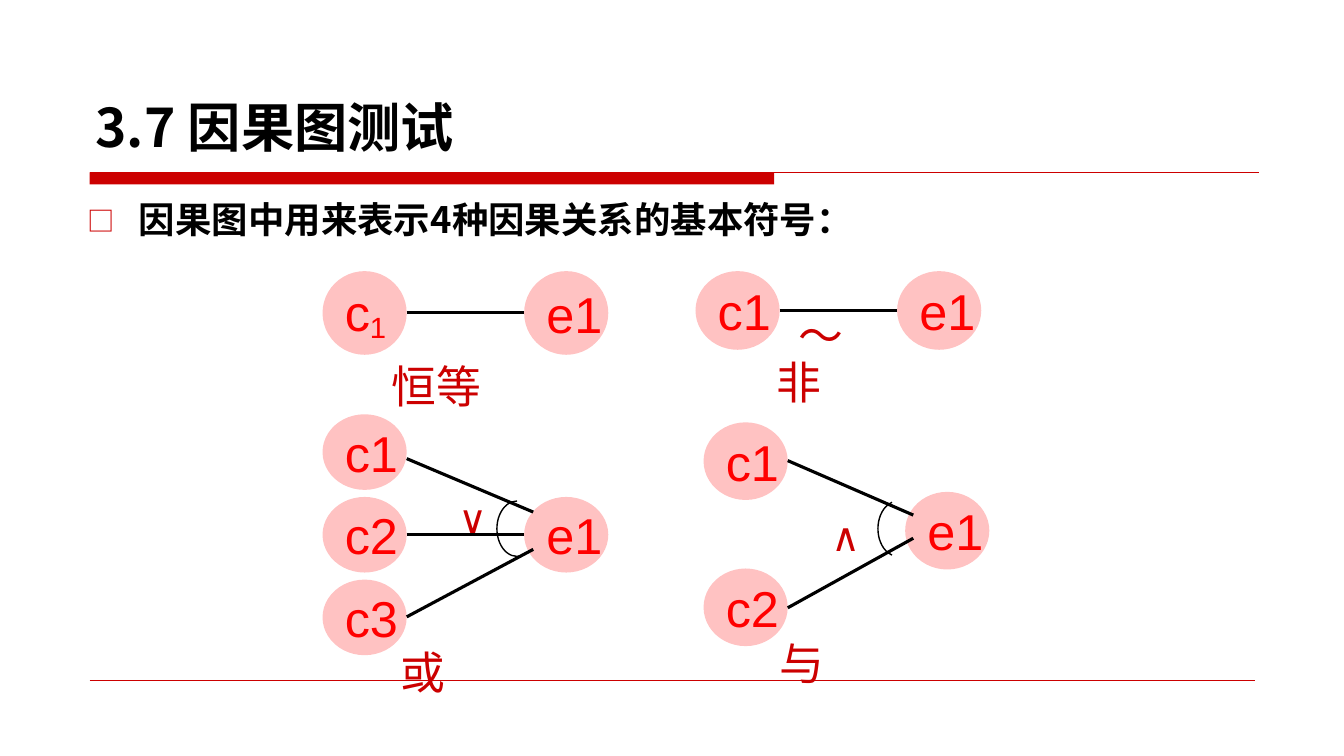
from lxml.etree import SubElement
from pptx import Presentation
from pptx.dml.color import RGBColor
from pptx.enum.shapes import MSO_CONNECTOR, MSO_SHAPE
from pptx.enum.text import MSO_ANCHOR, MSO_AUTO_SIZE, PP_ALIGN
from pptx.oxml.ns import qn
from pptx.util import Inches, Pt

COLUMNS, ROWS = 133.33, 75
NODE_WIDTH, EFFECT_OFFSET = 8.35, 20
CJK, LATIN, SYMBOL = "Noto Sans CJK SC", "Arial", "Open Sans"
BLACK, RED, DEEP_RED, PINK = "000000", "FF0000", "CC0000", "FFC2C2"


def color(hex_code):
    """Turn a hex string into a colour."""
    return RGBColor.from_string(hex_code)


class CauseEffectSlide:
    """Draws on one slide, with lengths in grid columns and rows."""

    def __init__(self, deck):
        self.column = deck.slide_width / COLUMNS
        self.row = deck.slide_height / ROWS
        self.shapes = deck.slides.add_slide(deck.slide_layouts[6]).shapes

    def place(self, x, y, width, height):
        """Convert a grid box to slide lengths."""
        return (round(x * self.column), round(y * self.row),
                round(width * self.column), round(height * self.row))

    def run(self, paragraph, text, size, font, hex_code, bold=False):
        """Add one styled run."""
        run = paragraph.add_run()
        run.text = text
        run.font.size = Pt(size)
        run.font.name = font
        run.font.bold = bold
        run.font.color.rgb = color(hex_code)
        SubElement(run.font._element, qn("a:ea"), typeface=font)
        return run

    def text(self, box, content, size, font=CJK, hex_code=DEEP_RED, bold=False,
             anchor=MSO_ANCHOR.TOP, grow=True):
        """Add a text box and return its paragraph."""
        frame = self.shapes.add_textbox(*self.place(*box)).text_frame
        frame.word_wrap = True
        frame.vertical_anchor = anchor
        frame.auto_size = MSO_AUTO_SIZE.SHAPE_TO_FIT_TEXT if grow else MSO_AUTO_SIZE.NONE
        paragraph = frame.paragraphs[0]
        self.run(paragraph, content, size, font, hex_code, bold)
        return paragraph

    def bullet(self, paragraph, mark):
        """Give a paragraph a hanging red bullet."""
        paragraph.alignment = PP_ALIGN.JUSTIFY
        paragraph.line_spacing = 1.3
        properties = paragraph._p.get_or_add_pPr()
        properties.set("marL", str(Inches(0.51)))
        properties.set("indent", str(-Inches(0.51)))
        bullet_color = SubElement(properties, qn("a:buClr"))
        SubElement(bullet_color, qn("a:srgbClr"), val=DEEP_RED)
        SubElement(properties, qn("a:buSzPct"), val="75000")
        SubElement(properties, qn("a:buFont"), typeface=CJK)
        SubElement(properties, qn("a:buChar"), char=mark)

    def shape(self, kind, box, fill):
        """Add a filled preset shape without outline."""
        shape = self.shapes.add_shape(kind, *self.place(*box))
        shape.shadow.inherit = False
        shape.fill.solid()
        shape.fill.fore_color.rgb = color(fill)
        shape.line.fill.background()
        return shape

    def node(self, x, y, height, letter, index, lowered=False):
        """Add a cause or effect circle."""
        circle = self.shape(MSO_SHAPE.OVAL, (x, y, NODE_WIDTH, height), PINK)
        frame = circle.text_frame
        frame.word_wrap = False
        frame.vertical_anchor = MSO_ANCHOR.MIDDLE
        paragraph = frame.paragraphs[0]
        paragraph.alignment = PP_ALIGN.LEFT
        if lowered:
            self.run(paragraph, letter, 36, LATIN, RED)
            subscript = self.run(paragraph, index, 36, LATIN, RED)
            subscript.font._element.set("baseline", "-14000")
        else:
            self.run(paragraph, letter + index, 36, LATIN, RED)

    def line(self, x1, y1, x2, y2, hex_code=BLACK, weight=2.25):
        """Add a straight line."""
        ends = self.place(x1, y1, x2, y2)
        connector = self.shapes.add_connector(MSO_CONNECTOR.STRAIGHT, *ends)
        connector.line.color.rgb = color(hex_code)
        connector.line.width = Pt(weight)
        SubElement(connector._element.spPr, qn("a:effectLst"))

    def arc(self, x, y, start, end):
        """Add an arc between two clockwise angles in degrees."""
        arc = self.shapes.add_shape(MSO_SHAPE.ARC, *self.place(x, y, 4, 5.5))
        arc.shadow.inherit = False
        arc.adjustments[0] = start * 0.6
        arc.adjustments[1] = end * 0.6
        arc.fill.background()
        arc.line.color.rgb = color(BLACK)
        arc.line.width = Pt(1)

    def relation(self, x, height, cause_tops, effect_top, links, name, lowered=False):
        """Draw causes linked to one effect, with the relation's name."""
        for number, top in enumerate(cause_tops, 1):
            self.node(x, top, height, "c", str(number), lowered)
        self.node(x + EFFECT_OFFSET, effect_top, height, "e", "1")
        for start_y, end_x, end_y in links:
            self.line(x + NODE_WIDTH, start_y, x + end_x, end_y)
        name_x, name_y, word = name
        self.text((name_x, name_y, 15, 6.4), word, 32)


def main():
    """Build and save the slide."""
    deck = Presentation()
    deck.slide_width, deck.slide_height = Inches(13.33), Inches(7.5)
    slide = CauseEffectSlide(deck)

    slide.shape(MSO_SHAPE.RECTANGLE, (8.9, 17.1, 67.9, 1.2), DEEP_RED)
    slide.line(8.9, 17.1, 124.9, 17.1, DEEP_RED, 0.75)
    slide.line(8.9, 67.5, 124.5, 67.5, DEEP_RED, 0.25)
    slide.text((8.5, 2.9, 87.5, 13.3), "3.7 因果图测试", 38, hex_code=BLACK,
               bold=True, anchor=MSO_ANCHOR.BOTTOM, grow=False)
    intro = slide.text((7.7, 17.8, 85.8, 8.7), "因果图中用来表示4种因果关系的基本符号：",
                       26, hex_code=BLACK, bold=True, grow=False)
    slide.bullet(intro, "□")

    slide.relation(32, 8.3, [26.9], 26.9, [(31, 20, 31)], (37.9, 35.1, "恒等"), lowered=True)
    slide.relation(69, 7.8, [26.9], 26.9, [(30.8, 20, 30.8)], (76, 34.7, "非"))
    slide.relation(32, 7.5, [41.1 + 8.2 * step for step in range(3)], 49.3,
                   [(45.5, 20.9, 50.8), (53, 20, 53), (61.2, 20.9, 54.5)],
                   (38.7, 63.5, "或"))
    slide.relation(69.8, 7.7, [41.9, 56.4], 48.8,
                   [(45.7, 20.8, 51.1), (60.3, 20.8, 53.4)], (76.3, 62.6, "与"))

    slide.text((78.2, 30, 9.2, 6.4), "～", 32, SYMBOL)
    slide.text((44.5, 48.5, 5.8, 5.7), "∨", 28, SYMBOL)
    slide.text((81.5, 50.3, 5.8, 5.7), "∧", 28, SYMBOL)
    slide.arc(49.3, 49.7, 79, 270)
    slide.arc(87.1, 49.7, 103, 257)
    deck.save("out.pptx")


if __name__ == "__main__":
    main()
